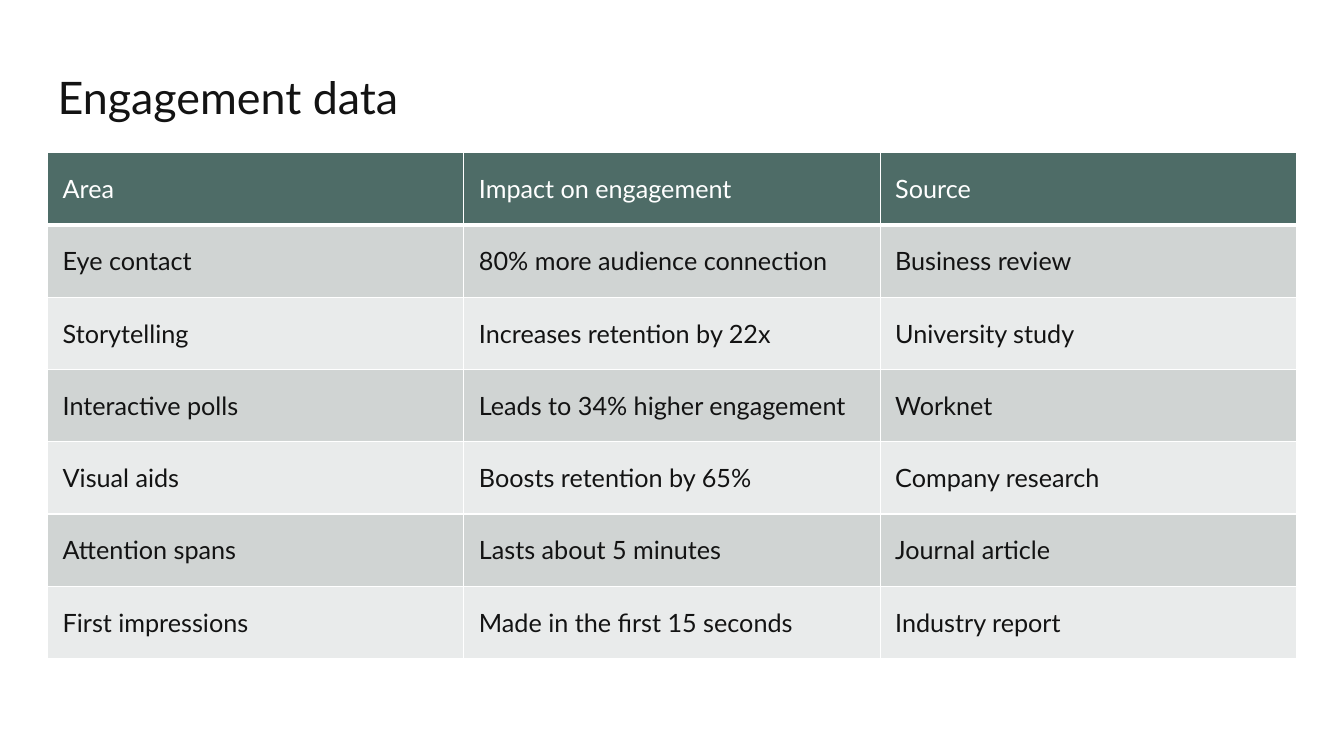
from lxml.etree import SubElement
from pptx import Presentation
from pptx.dml.color import RGBColor
from pptx.enum.text import MSO_ANCHOR as Anchor, MSO_AUTO_SIZE as AutoSize, PP_ALIGN as Align
from pptx.oxml.ns import qn
from pptx.util import Cm, Pt

FONT = "Lato"
INK = RGBColor(0x13, 0x13, 0x13)
WHITE = RGBColor(0xFF, 0xFF, 0xFF)
GREEN = RGBColor(0x4E, 0x6C, 0x67)
DARK_BAND = RGBColor(0xD0, 0xD4, 0xD3)
LIGHT_BAND = RGBColor(0xE9, 0xEB, 0xEB)

LEFT, WIDTH = Cm(1.2), Cm(31.47)
TITLE_TOP, TITLE_HEIGHT = Cm(1.78), Cm(2.06)
TABLE_TOP, ROW_HEIGHT = Cm(3.85), Cm(1.82)
CELL_MARGIN = Cm(0.38)

ENGAGEMENT = [
    ("Area", "Impact on engagement", "Source"),
    ("Eye contact", "80% more audience connection", "Business review"),
    ("Storytelling", "Increases retention by 22x", "University study"),
    ("Interactive polls", "Leads to 34% higher engagement", "Worknet"),
    ("Visual aids", "Boosts retention by 65%", "Company research"),
    ("Attention spans", "Lasts about 5 minutes", "Journal article"),
    ("First impressions", "Made in the first 15 seconds", "Industry report"),
]


def add_run(paragraph, text, size, color):
    paragraph.alignment = Align.LEFT
    run = paragraph.add_run()
    run.text = text
    run.font.name = FONT
    run.font.size = Pt(size)
    run.font.bold = False
    run.font.color.rgb = color


def set_title(slide, text):
    title = slide.shapes.title
    title.left, title.top, title.width, title.height = LEFT, TITLE_TOP, WIDTH, TITLE_HEIGHT
    frame = title.text_frame
    frame.word_wrap = True
    frame.auto_size = AutoSize.NONE
    frame.vertical_anchor = Anchor.TOP
    heading = frame.paragraphs[0]
    heading.line_spacing = 0.9
    add_run(heading, text, 32, INK)


def set_borders(cell, bottom):
    """Draw white borders, 1 pt wide except for the given bottom width."""
    properties = cell._tc.get_or_add_tcPr()
    for side, width in (("L", 1), ("R", 1), ("T", 1), ("B", bottom)):
        line = SubElement(properties, qn(f"a:ln{side}"), w=str(Pt(width)))
        line_fill = SubElement(line, qn("a:solidFill"))
        SubElement(line_fill, qn("a:srgbClr"), val=str(WHITE))


def format_cell(cell, text, fill, ink, bottom):
    set_borders(cell, bottom)
    cell.fill.solid()
    cell.fill.fore_color.rgb = fill
    cell.vertical_anchor = Anchor.MIDDLE
    cell.margin_left = cell.margin_right = CELL_MARGIN
    cell.margin_top = cell.margin_bottom = CELL_MARGIN
    add_run(cell.text_frame.paragraphs[0], text, 18, ink)


def add_banded_table(slide, records):
    column_count = len(records[0])
    table = slide.shapes.add_table(
        len(records), column_count, LEFT, TABLE_TOP, WIDTH, ROW_HEIGHT * len(records)
    ).table
    for column in table.columns:
        column.width = WIDTH // column_count
    for index, record in enumerate(records):
        table.rows[index].height = ROW_HEIGHT
        if index == 0:
            look = GREEN, WHITE, 3
        else:
            look = DARK_BAND if index % 2 else LIGHT_BAND, INK, 1
        for cell, text in zip(table.rows[index].cells, record):
            format_cell(cell, text, *look)


def main():
    deck = Presentation()
    deck.slide_width, deck.slide_height = Cm(33.87), Cm(19.05)
    slide = deck.slides.add_slide(deck.slide_layouts[5])
    set_title(slide, "Engagement data")
    add_banded_table(slide, ENGAGEMENT)
    deck.save("out.pptx")


if __name__ == "__main__":
    main()
